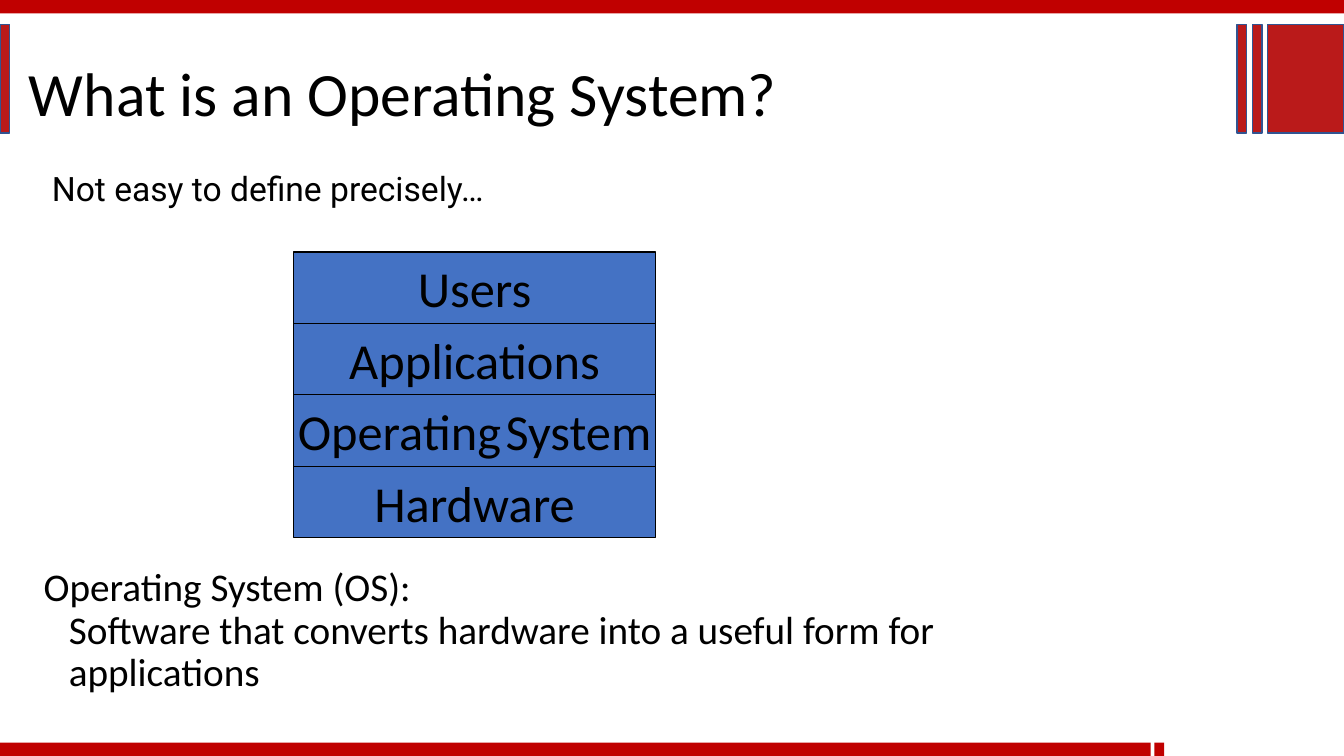
import pptx
import pptx.dml.color
import pptx.enum.shapes
import pptx.enum.text
import pptx.oxml.ns
import pptx.util
from lxml import etree

Pt = pptx.util.Pt
ALIGN = pptx.enum.text.PP_ALIGN
ANCHOR = pptx.enum.text.MSO_ANCHOR

RED, DARK_RED, NAVY = "C00000", "BA1A1A", "325491"
BLUE, BLACK, GREY = "4472C4", "000000", "E7E6E6"


def rgb(value):
    return pptx.dml.color.RGBColor.from_string(value)


def set_attrs(obj, values):
    for name, value in values.items():
        setattr(obj, name, value)


def place(sp, left, top, width, height):
    set_attrs(sp, {"left": Pt(left), "top": Pt(top),
                   "width": Pt(width), "height": Pt(height)})


def add_bar(s, box, fill, line=None, weight=1):
    sp = s.shapes.add_shape(pptx.enum.shapes.MSO_SHAPE.RECTANGLE,
                            *[Pt(v) for v in box])
    sp.shadow.inherit = False
    sp.fill.solid()
    sp.fill.fore_color.rgb = rgb(fill)
    if line:
        sp.line.color.rgb = rgb(line)
        sp.line.width = Pt(weight)
    else:
        sp.line.fill.background()
    return sp


def write(tf, runs, font="Calibri", hang=0, frame=None, **para):
    """Fill a frame with one paragraph of (text, size, colour) runs."""
    set_attrs(tf, {"auto_size": pptx.enum.text.MSO_AUTO_SIZE.NONE,
                   "word_wrap": True, **(frame or {})})
    p = tf.paragraphs[0]
    pPr = p._p.get_or_add_pPr()
    pPr.set("marL", str(Pt(hang)))
    pPr.set("indent", str(-Pt(hang)))
    etree.SubElement(pPr, pptx.oxml.ns.qn("a:buNone"))
    set_attrs(p, {"space_before": Pt(0), **para})
    for text, size, colour in runs:
        for i, line in enumerate(text.split("\n")):
            if i:
                p.add_line_break()
            r = p.add_run()
            r.text = line
            set_attrs(r.font, {"name": font, "size": Pt(size)})
            r.font.color.rgb = rgb(colour)


def add_layer(s, box, runs):
    sp = add_bar(s, box, BLUE, BLACK, 0.75)
    write(sp.text_frame, runs, alignment=ALIGN.CENTER,
          frame={"word_wrap": False, "vertical_anchor": ANCHOR.MIDDLE})


def main():
    prs = pptx.Presentation()
    set_attrs(prs, {"slide_width": Pt(960), "slide_height": Pt(540)})
    s = prs.slides.add_slide(prs.slide_layouts[1])

    # Title
    title = s.shapes.title
    place(title, 13.5, 16.5, 837.5, 104.5)
    write(title.text_frame, [("What is an Operating System?", 44, BLACK)],
          frame={"vertical_anchor": ANCHOR.MIDDLE},
          alignment=ALIGN.LEFT, line_spacing=0.9)

    # Red bands along the edges
    for left, top, width, height in [(0, 0, 960, 9.5), (0, 530.5, 822, 9.5),
                                     (824.5, 530.5, 7, 9.5)]:
        add_bar(s, (left, top, width, height), RED)

    # Outlined blocks beside the title
    for left, width in [(0, 7), (905.5, 54.5), (894.5, 7), (883.5, 7)]:
        add_bar(s, (left, 17.5, width, 77.5), DARK_RED, NAVY)

    # Definition
    body = s.placeholders[1]
    place(body, 24, 402, 696, 120)
    write(body.text_frame,
          [("Operating System (OS):\nSoftware that converts hardware into "
            "a useful form for applications", 28, BLACK)],
          hang=18, alignment=ALIGN.LEFT, line_spacing=0.9)

    # Opening remark
    remark = s.shapes.add_textbox(Pt(30), Pt(120), Pt(612), Pt(42))
    write(remark.text_frame, [("Not easy to define precisely…", 24, BLACK)],
          font="Roboto", hang=27, line_spacing=0.9)

    # System layers, top to bottom
    layers = [[("Users", 36, BLACK)],
              [("Applications", 36, BLACK)],
              [("Operating", 36, BLACK), (" ", 14, GREY),
               ("System", 36, BLACK)],
              [("Hardware", 36, BLACK)]]
    for i, runs in enumerate(layers):
        add_layer(s, (210, 180 + 51 * i, 258, 51), runs)

    prs.save("out.pptx")


if __name__ == "__main__":
    main()
